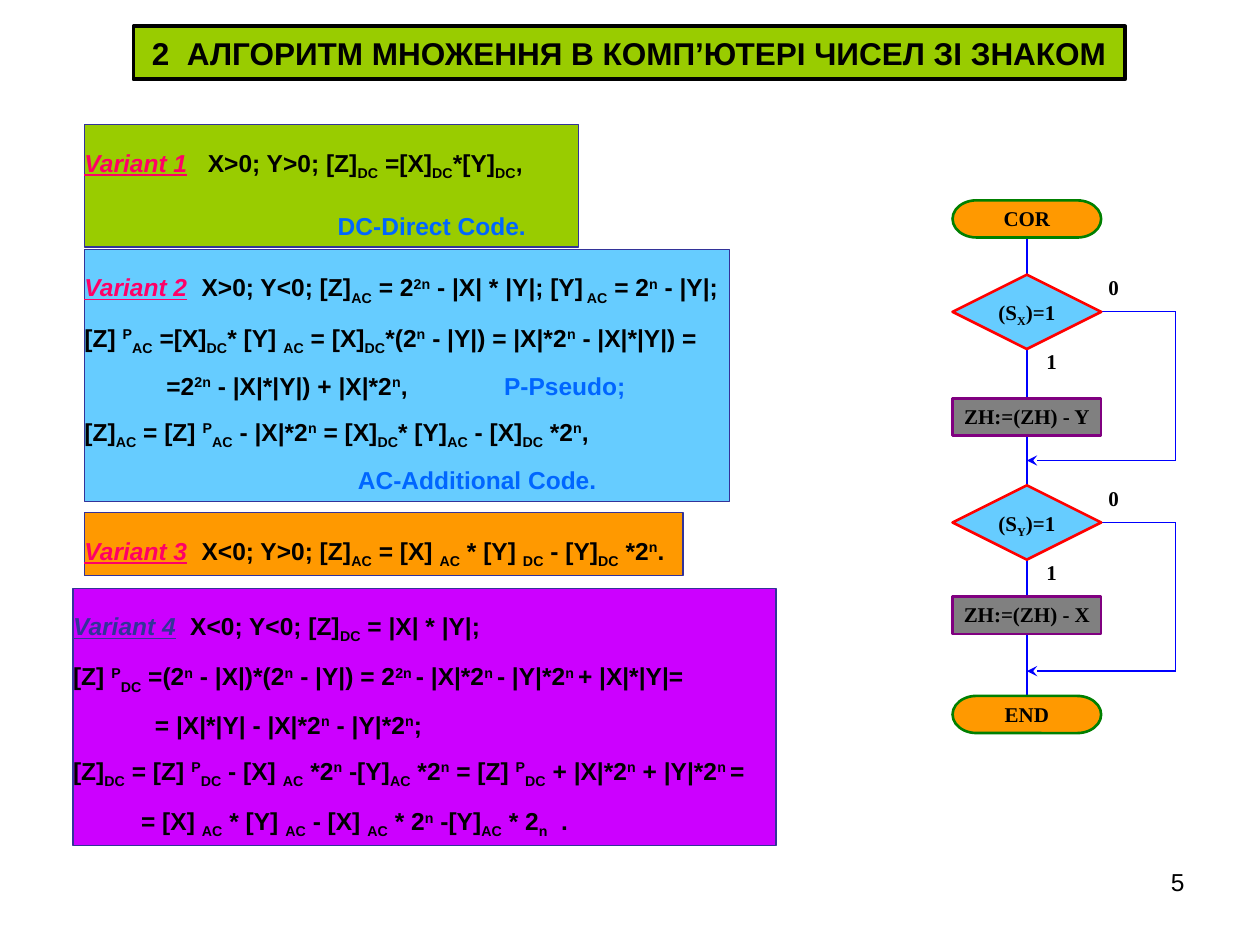
from dataclasses import dataclass
from typing import NamedTuple

from lxml import etree
from pptx import Presentation
from pptx.dml.color import RGBColor
from pptx.enum.shapes import MSO_CONNECTOR, MSO_SHAPE
from pptx.enum.text import MSO_ANCHOR, PP_ALIGN
from pptx.oxml.ns import qn
from pptx.util import Inches, Pt

RECTANGLE = MSO_SHAPE.RECTANGLE
TERMINATOR = MSO_SHAPE.FLOWCHART_TERMINATOR
DECISION = MSO_SHAPE.FLOWCHART_DECISION
STRAIGHT = MSO_CONNECTOR.STRAIGHT
TOP, MIDDLE = MSO_ANCHOR.TOP, MSO_ANCHOR.MIDDLE
LEFT, CENTER, RIGHT = PP_ALIGN.LEFT, PP_ALIGN.CENTER, PP_ALIGN.RIGHT

BLACK = RGBColor(0x00, 0x00, 0x00)
WHITE = RGBColor(0xFF, 0xFF, 0xFF)
LIME = RGBColor(0x99, 0xCC, 0x00)
SKY = RGBColor(0x66, 0xCC, 0xFF)
ORANGE = RGBColor(0xFF, 0x99, 0x00)
VIOLET = RGBColor(0xCC, 0x00, 0xFF)
INDIGO = RGBColor(0x33, 0x33, 0x99)
PINK = RGBColor(0xFF, 0x00, 0x66)
NOTE_BLUE = RGBColor(0x00, 0x66, 0xFF)
LINE_BLUE = RGBColor(0x00, 0x00, 0xFF)
GRAY = RGBColor(0x80, 0x80, 0x80)
PURPLE = RGBColor(0x80, 0x00, 0x80)
GREEN = RGBColor(0x00, 0x80, 0x00)
RED = RGBColor(0xFF, 0x00, 0x00)

SLIDE_WIDTH, SLIDE_HEIGHT = Inches(10), Inches(7.5)
FLOW_LEFT, FLOW_TOP = Inches(7.56), Inches(1.59)
GRID = Inches(1.18) / 12
BOX_COLUMNS, SPINE, BRANCH = 12, 6, 18
STAGE_ROWS = 17
BASELINES = {"_": "-25000", "^": "30000"}


class Area(NamedTuple):
    left: int
    top: int
    width: int
    height: int


class Style(NamedTuple):
    font: str
    size: float
    bold: bool = True
    alignment: PP_ALIGN = CENTER
    line_spacing: float = 1.0
    space_before: float = 0


class Line(NamedTuple):
    text: str
    tabs: tuple[float, ...] = ()
    heading: str = ""
    note: str = ""


@dataclass
class Panel:
    area: Area
    fill: RGBColor
    lines: list[Line]
    heading_color: RGBColor = PINK
    space_before: float = 0


@dataclass
class Node:
    kind: MSO_SHAPE
    row: int
    rows: int
    text: str
    fill: RGBColor
    outline: RGBColor | None
    column: int = 0
    columns: int = BOX_COLUMNS
    insets: tuple[float, float] = (0, 0)


def share(left: float, top: float, width: float, height: float) -> Area:
    return Area(int(SLIDE_WIDTH * left / 100), int(SLIDE_HEIGHT * top / 100),
                int(SLIDE_WIDTH * width / 100), int(SLIDE_HEIGHT * height / 100))


def grid_point(column: float, row: float) -> tuple[int, int]:
    return int(FLOW_LEFT + column * GRID), int(FLOW_TOP + row * GRID)


def add_formula(paragraph, text: str) -> None:
    marker, start = "", 0
    for position, symbol in enumerate(text + "_"):
        if symbol not in BASELINES:
            continue
        if position > start:
            run = paragraph.add_run()
            run.text = text[start:position]
            if marker:
                run._r.get_or_add_rPr().set("baseline", BASELINES[marker])
        marker, start = "" if marker else symbol, position + 1


def add_tab_stops(paragraph, tabs: tuple[float, ...]) -> None:
    tab_list = etree.Element(qn("a:tabLst"))
    for position in tabs:
        etree.SubElement(tab_list, qn("a:tab"), pos=str(Inches(position)), algn="l")
    properties = paragraph._p.get_or_add_pPr()
    properties.insert(list(properties).index(properties.find(qn("a:defRPr"))), tab_list)


def write_line(paragraph, line: Line, style: Style, heading_color: RGBColor) -> None:
    paragraph.alignment = style.alignment
    paragraph.line_spacing = style.line_spacing
    paragraph.space_before = Pt(style.space_before)
    paragraph.font.name, paragraph.font.size = style.font, Pt(style.size)
    paragraph.font.bold, paragraph.font.color.rgb = style.bold, BLACK
    if line.heading:
        run = paragraph.add_run()
        run.text = line.heading
        run.font.italic = run.font.underline = True
        run.font.color.rgb = heading_color
    add_formula(paragraph, line.text)
    if line.note:
        run = paragraph.add_run()
        run.text = line.note
        run.font.color.rgb = NOTE_BLUE
    if line.tabs:
        add_tab_stops(paragraph, line.tabs)


def write_lines(shape, lines: list[Line], style: Style, side: float, top: float,
                bottom: float, anchor: MSO_ANCHOR = TOP, heading_color: RGBColor = PINK) -> None:
    frame = shape.text_frame
    frame.word_wrap, frame.vertical_anchor = True, anchor
    frame.margin_left = frame.margin_right = Inches(side)
    frame.margin_top, frame.margin_bottom = Inches(top), Inches(bottom)
    for index, line in enumerate(lines):
        paragraph = frame.add_paragraph() if index else frame.paragraphs[0]
        write_line(paragraph, line, style, heading_color)


def add_box(slide, kind: MSO_SHAPE, area: Area, fill: RGBColor,
            outline: RGBColor | None, weight: float):
    shape = slide.shapes.add_shape(kind, *area)
    shape.shadow.inherit = False
    shape.fill.solid()
    shape.fill.fore_color.rgb = fill
    if outline is None:
        shape.line.fill.background()
    else:
        shape.line.color.rgb, shape.line.width = outline, Pt(weight)
    return shape


def add_panel(slide, panel: Panel) -> None:
    shape = add_box(slide, RECTANGLE, panel.area, panel.fill, INDIGO, 0.75)
    style = Style("Arial", 14, True, LEFT, 1.5, panel.space_before)
    write_lines(shape, panel.lines, style, 0, 0.05, 0.05, heading_color=panel.heading_color)


def add_node(slide, node: Node) -> None:
    area = Area(*grid_point(node.column, node.row),
                int(node.columns * GRID), int(node.rows * GRID))
    shape = add_box(slide, node.kind, area, node.fill, node.outline, 1.5)
    write_lines(shape, [Line(node.text)], Style("Times New Roman", 12), 0, *node.insets)


def add_flow_line(slide, start: tuple[float, float], end: tuple[float, float],
                  arrow: bool = False) -> None:
    connector = slide.shapes.add_connector(STRAIGHT, *grid_point(*start), *grid_point(*end))
    connector.line.color.rgb, connector.line.width = LINE_BLUE, Pt(0.75)
    if arrow:
        etree.SubElement(connector.line._get_or_add_ln(), qn("a:tailEnd"), type="stealth")
    etree.SubElement(connector._element.spPr, qn("a:effectLst"))


def add_stage(slide, row: int, sign: str, process_row: int, operand: str) -> None:
    middle, merge = row + 3, row + 15
    add_flow_line(slide, (BOX_COLUMNS, middle), (BRANCH, middle))
    add_flow_line(slide, (BRANCH, middle), (BRANCH, merge))
    add_flow_line(slide, (BRANCH, merge), (SPINE, merge), arrow=True)
    for node in (
        Node(RECTANGLE, row + 6, 2, "1", WHITE, None, SPINE + 1, 2),
        Node(RECTANGLE, row, 2, "0", WHITE, None, BOX_COLUMNS, 2),
        Node(DECISION, row, 6, f"(S_{sign}_)=1", SKY, RED, insets=(0.05, 0.05)),
        Node(RECTANGLE, process_row, 3, f"ZH:=(ZH) - {operand}", GRAY, PURPLE, insets=(0.04, 0)),
    ):
        add_node(slide, node)


PANELS = [
    Panel(share(6.7, 13.2, 39.2, 12.93), LIME, [
        Line("\tX>0; Y>0; [Z]_DC_ =[X]_DC_*[Y]_DC_,", (0.98,), "Variant 1"),
        Line("\t", (2.01,), note="DC-Direct Code."),
    ], space_before=8.8),
    Panel(share(6.7, 26.4, 51.2, 26.67), SKY, [
        Line("\tX>0; Y<0; [Z]_AC_ = 2^2n^ - |X| * |Y|; [Y]_ AC_ = 2^n^ - |Y|;", (0.93,), "Variant 2"),
        Line("[Z] ^P^_AC_ =[X]_DC_* [Y] _AC_ = [X]_DC_*(2^n^ - |Y|) = |X|*2^n^ - |X|*|Y|) ="),
        Line("\t=2^2n^ - |X|*|Y|) + |X|*2^n^,\t", (0.65, 3.33), note="P-Pseudo;"),
        Line("[Z]_AC_ = [Z] ^P^_AC_ - |X|*2^n^ = [X]_DC_* [Y]_AC_ - [X]_DC_ *2^n^,"),
        Line("\t", (2.17,), note="AC-Additional Code."),
    ]),
    Panel(share(6.7, 54.27, 47.5, 6.67), ORANGE, [
        Line("\tX<0; Y>0; [Z]_AC_ = [X] _AC_ * [Y] _DC_ - [Y]_DC_ *2^n^.", (0.93,), "Variant 3"),
    ]),
    Panel(share(5.8, 62.27, 55.8, 27.2), VIOLET, [
        Line("\tX<0; Y<0; [Z]_DC_ = |X| * |Y|;", (0.93,), "Variant 4"),
        Line("[Z] ^P^_DC_ =(2^n^ - |X|)*(2^n^ - |Y|) = 2^2n ^- |X|*2^n ^- |Y|*2^n ^+ |X|*|Y|="),
        Line("\t= |X|*|Y| - |X|*2^n^ - |Y|*2^n^;", (0.65,)),
        Line("[Z]_DC_ = [Z] ^P^_DC_ - [X] _AC_ *2^n^ -[Y]_AC_ *2^n^ = [Z] ^P^_DC_ + |X|*2^n^ + |Y|*2^n ^="),
        Line("\t= [X] _AC_ * [Y] _AC_ - [X] _AC_ * 2^n^ -[Y]_AC_ * 2_n_  .", (0.54,)),
    ], INDIGO),
]


def main() -> None:
    presentation = Presentation()
    presentation.slide_width, presentation.slide_height = SLIDE_WIDTH, SLIDE_HEIGHT
    slide = presentation.slides.add_slide(presentation.slide_layouts[6])

    title = add_box(slide, RECTANGLE, share(10.6, 2.8, 78.7, 5.6), LIME, BLACK, 2.25)
    write_lines(title, [Line("2  АЛГОРИТМ МНОЖЕННЯ В КОМП’ЮТЕРІ ЧИСЕЛ ЗІ ЗНАКОМ")],
                Style("Arial", 18), 0.1, 0.05, 0.05, MIDDLE)
    for panel in PANELS:
        add_panel(slide, panel)

    add_flow_line(slide, (SPINE, 2), (SPINE, 42))
    for row, text in ((0, "COR"), (40, "END")):
        add_node(slide, Node(TERMINATOR, row, 3, text, ORANGE, GREEN))
    add_stage(slide, 6, "X", 16, "Y")
    add_stage(slide, 6 + STAGE_ROWS, "Y", 32, "X")

    number = slide.shapes.add_textbox(*share(71.7, 91.07, 23.3, 6.93))
    write_lines(number, [Line("5")], Style("Arial", 14, False, RIGHT), 0.1, 0.05, 0.05)
    presentation.save("out.pptx")


if __name__ == "__main__":
    main()
